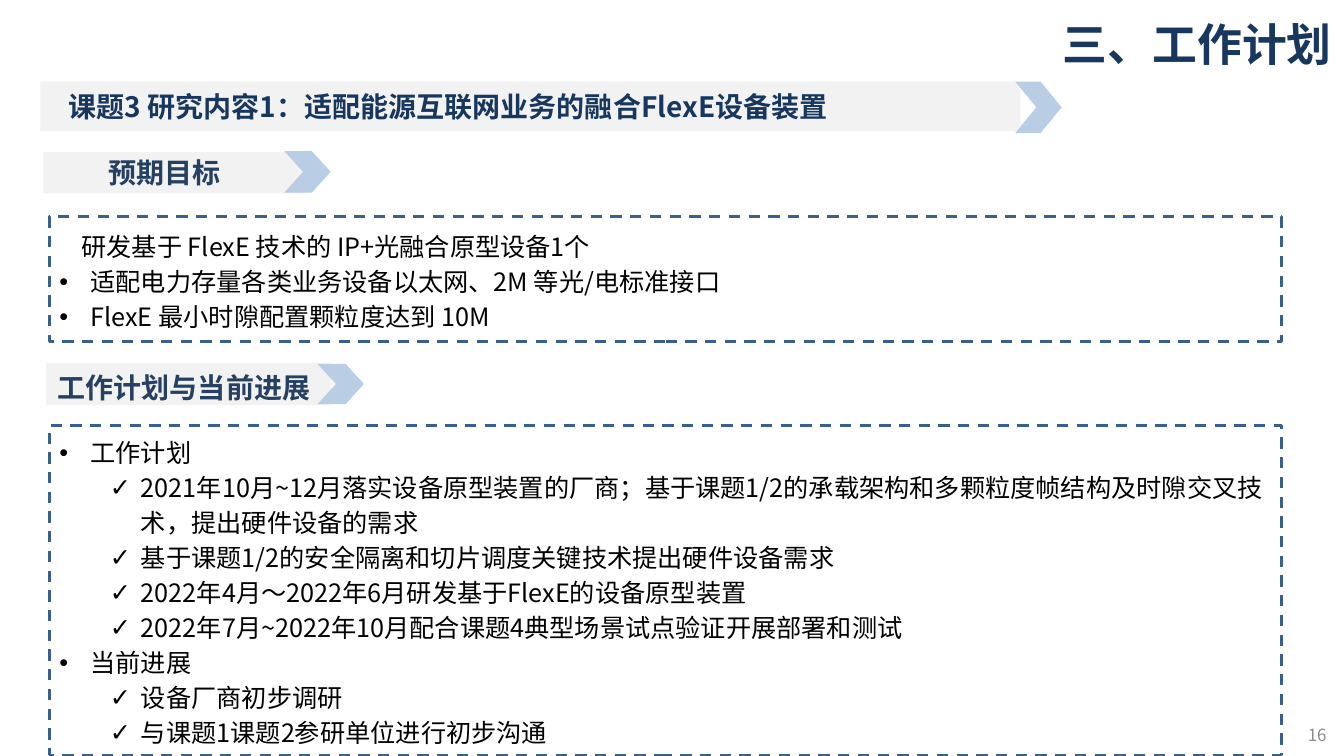
from dataclasses import dataclass

from lxml import etree
from pptx import Presentation
from pptx import util as u
from pptx.dml.color import RGBColor
from pptx.enum import dml, shapes, text
from pptx.oxml.ns import qn

FONT = "Noto Sans CJK SC"
COLORS = {
    "navy": "17375E",
    "slate": "254061",
    "border": "3A5F8C",
    "bar": "F2F2F2",
    "chevron": "B9CDE5",
    "body": "000000",
    "number": "8C8C8C",
}
HANG = 0.31
ALIGN = text.PP_ALIGN
ANCHOR = text.MSO_ANCHOR

Box = tuple[float, float, float, float]


@dataclass
class Label:
    words: str
    at: Box
    size: int
    color: str
    align: ALIGN
    bold: bool = True
    anchor: ANCHOR = ANCHOR.TOP
    inset: tuple[float, float] = (0, 0)


@dataclass
class Heading:
    bar: Box
    chevron: Box
    label: Label


@dataclass
class Item:
    words: str
    bullet: str = ""
    level: int = 0
    margin: float = HANG


@dataclass
class Panel:
    at: Box
    items: list[Item]


def point(words: str) -> Item:
    return Item(words, "•")


def check(words: str) -> Item:
    return Item(words, "✓", 1, HANG + 0.5)


def rgb(name: str) -> RGBColor:
    return RGBColor.from_string(COLORS[name])


def apply(target: object, values: dict[str, object]) -> None:
    for name, value in values.items():
        setattr(target, name, value)


def add_run(p, words: str, size: int, color: str, bold: bool = False) -> None:
    r = p.add_run()
    r.text = words
    apply(r.font, {"name": FONT, "size": u.Pt(size), "bold": bold})
    r.font.color.rgb = rgb(color)
    etree.SubElement(r.font._element, qn("a:ea"), typeface=FONT)


def add_block(s, kind: shapes.MSO_SHAPE, at: Box, fill: str = ""):
    sp = s.shapes.add_shape(kind, *map(u.Inches, at))
    sp.shadow.inherit = False
    if fill:
        sp.fill.solid()
        sp.fill.fore_color.rgb = rgb(fill)
        sp.line.fill.background()
    else:
        sp.fill.background()
    return sp


def add_label(s, label: Label) -> None:
    tf = s.shapes.add_textbox(*map(u.Inches, label.at)).text_frame
    x, y = map(u.Inches, label.inset)
    apply(tf, {"word_wrap": True, "vertical_anchor": label.anchor,
               "margin_left": x, "margin_right": x, "margin_top": y, "margin_bottom": y})
    p = tf.paragraphs[0]
    p.alignment = label.align
    add_run(p, label.words, label.size, label.color, label.bold)


def add_heading(s, heading: Heading) -> None:
    add_block(s, shapes.MSO_SHAPE.RECTANGLE, heading.bar, "bar")
    sp = add_block(s, shapes.MSO_SHAPE.CHEVRON, heading.chevron, "chevron")
    sp.adjustments[0] = 0.455
    add_label(s, heading.label)


def add_panel(s, panel: Panel) -> None:
    sp = add_block(s, shapes.MSO_SHAPE.RECTANGLE, panel.at)
    sp.line.color.rgb = rgb("border")
    apply(sp.line, {"width": u.Pt(2), "dash_style": dml.MSO_LINE.DASH})
    tf = sp.text_frame
    apply(tf, {"word_wrap": True, "vertical_anchor": ANCHOR.MIDDLE})
    for i, item in enumerate(panel.items):
        p = tf.add_paragraph() if i else tf.paragraphs[0]
        apply(p, {"alignment": ALIGN.LEFT, "line_spacing": u.Pt(25), "level": item.level})
        pPr = p._p.get_or_add_pPr()
        pPr.set("marL", str(u.Inches(item.margin)))
        if item.bullet:
            pPr.set("indent", str(-u.Inches(HANG)))
            etree.SubElement(pPr, qn("a:buFont"), typeface="Arial")
            etree.SubElement(pPr, qn("a:buChar"), char=item.bullet)
        add_run(p, item.words, 18, "body")


TITLE = Label("三、工作计划", (5.54, 0.1, 7.8, 0.67), 32, "navy", ALIGN.RIGHT,
              anchor=ANCHOR.MIDDLE, inset=(0.13, 0.07))
NUMBER = Label("16", (11.51, 7.09, 3.11, 0.4), 12, "number", ALIGN.CENTER,
               bold=False, anchor=ANCHOR.MIDDLE, inset=(0.1, 0.05))
HEADINGS = [
    Heading((0.4, 0.81, 9.72, 0.49), (10.07, 0.81, 0.46, 0.51),
            Label("课题3 研究内容1：适配能源互联网业务的融合FlexE设备装置",
                  (0.68, 0.89, 9.56, 0.34), 20, "navy", ALIGN.LEFT)),
    Heading((0.43, 1.51, 2.6, 0.41), (2.82, 1.5, 0.46, 0.41),
            Label("预期目标", (0.46, 1.54, 2.35, 0.34), 20, "slate", ALIGN.CENTER)),
    Heading((0.46, 3.6, 2.83, 0.42), (3.15, 3.61, 0.46, 0.4),
            Label("工作计划与当前进展", (0.27, 3.68, 3.11, 0.34), 20, "slate", ALIGN.CENTER)),
]
PANELS = [
    Panel((0.49, 2.15, 12.22, 1.24), [
        Item("研发基于 FlexE 技术的 IP+光融合原型设备1个", margin=0.22),
        point("适配电力存量各类业务设备以太网、2M 等光/电标准接口"),
        point("FlexE 最小时隙配置颗粒度达到 10M"),
    ]),
    Panel((0.49, 4.22, 12.22, 3.27), [
        point("工作计划"),
        check("2021年10月~12月落实设备原型装置的厂商；基于课题1/2的承载架构和"
              "多颗粒度帧结构及时隙交叉技术，提出硬件设备的需求"),
        check("基于课题1/2的安全隔离和切片调度关键技术提出硬件设备需求"),
        check("2022年4月～2022年6月研发基于FlexE的设备原型装置"),
        check("2022年7月~2022年10月配合课题4典型场景试点验证开展部署和测试"),
        point("当前进展"),
        check("设备厂商初步调研"),
        check("与课题1课题2参研单位进行初步沟通"),
    ]),
]


def main() -> None:
    prs = Presentation()
    apply(prs, {"slide_width": u.Inches(13.33), "slide_height": u.Inches(7.5)})
    s = prs.slides.add_slide(prs.slide_layouts[6])
    add_label(s, NUMBER)
    for panel in PANELS:
        add_panel(s, panel)
    for heading in HEADINGS:
        add_heading(s, heading)
    add_label(s, TITLE)
    prs.save("out.pptx")


if __name__ == "__main__":
    main()
